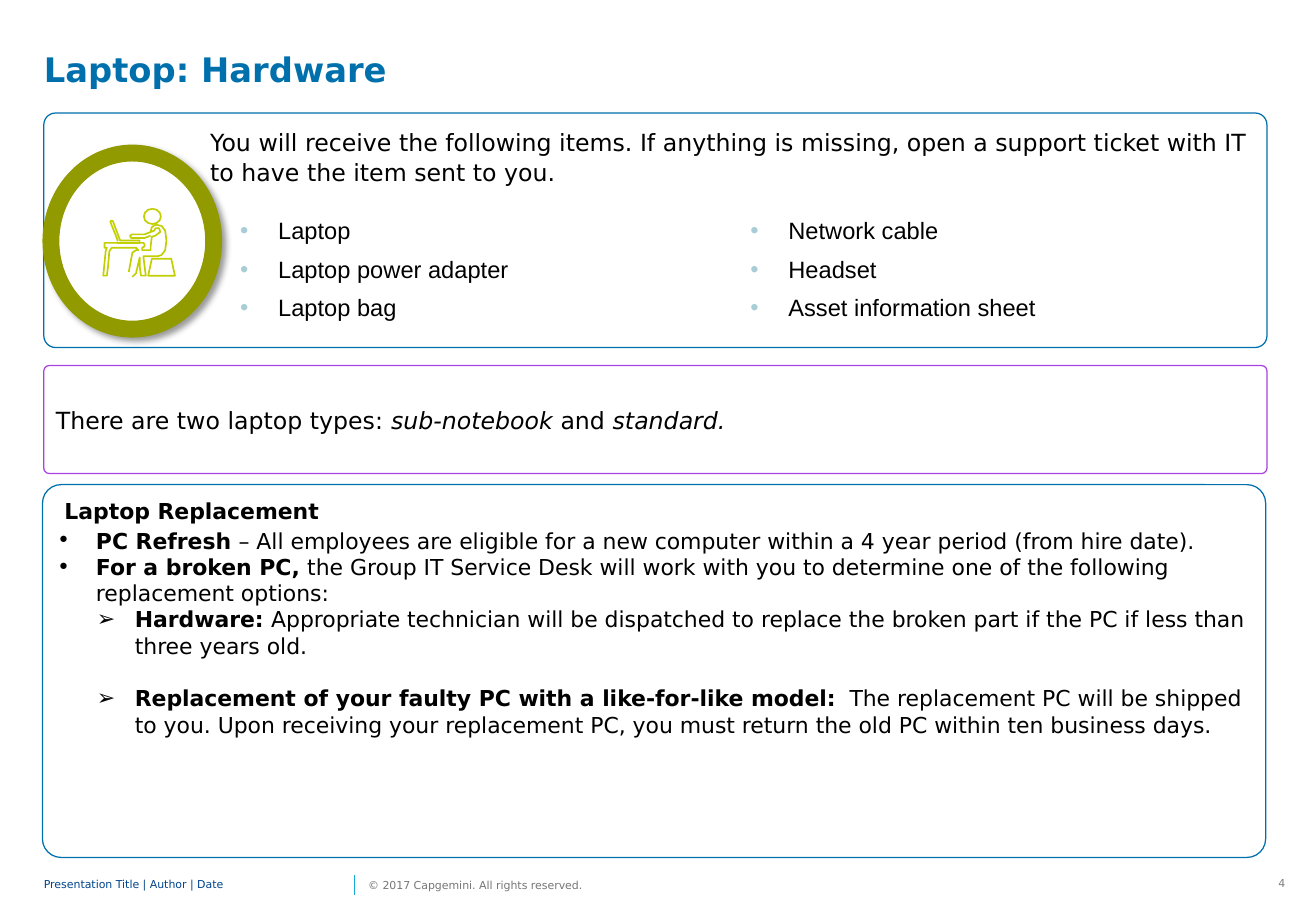
from lxml import etree
from pptx import Presentation
from pptx.dml.color import RGBColor
from pptx.enum import shapes, text
from pptx.oxml import ns
from pptx.util import Pt

BLUE = RGBColor(0x00, 0x70, 0xAD)
NAVY = RGBColor(0x00, 0x45, 0x8D)
CYAN = RGBColor(0x12, 0xAB, 0xDB)
PURPLE = RGBColor(0xA8, 0x42, 0xE0)
OLIVE = RGBColor(0x91, 0x9B, 0x00)
LIME = RGBColor(0xC2, 0xCF, 0x00)
PALE_TEAL = RGBColor(0xA8, 0xCD, 0xD7)
GREY = RGBColor(0x80, 0x80, 0x80)
DARK_GREY = RGBColor(0x76, 0x76, 0x76)
BLACK = RGBColor(0x00, 0x00, 0x00)
WHITE = RGBColor(0xFF, 0xFF, 0xFF)

TOP, MIDDLE = text.MSO_ANCHOR.TOP, text.MSO_ANCHOR.MIDDLE
ROUNDED = shapes.MSO_SHAPE.ROUNDED_RECTANGLE
OVAL = shapes.MSO_SHAPE.OVAL


def child(parent, tag, **attributes):
    element = etree.SubElement(parent, ns.qn(tag))
    for key, value in attributes.items():
        element.set(key, str(value))
    return element


def write(frame, runs, size=14, font="DejaVu Sans", color=BLACK, bold=False,
          align=text.PP_ALIGN.LEFT, line=1.0, before=0, after=0,
          margin=0, hanging=0, bullet=None, bullet_color=BLACK):
    """Add a paragraph; runs is a string or a list of (text, style) pairs."""
    first = frame.paragraphs[0]
    paragraph = frame.add_paragraph() if first.runs else first
    props = paragraph._p.get_or_add_pPr()
    props.set("marL", str(Pt(margin)))
    props.set("indent", str(Pt(-hanging)))
    if bullet:
        child(child(props, "a:buClr"), "a:srgbClr", val=bullet_color)
        child(props, "a:buFont", typeface=font)
        child(props, "a:buChar", char=bullet)
    else:
        child(props, "a:buNone")
    paragraph.alignment = align
    paragraph.line_spacing = line
    paragraph.space_before, paragraph.space_after = Pt(before), Pt(after)
    for words, style in [(runs, "")] if isinstance(runs, str) else runs:
        run = paragraph.add_run()
        run.text = words
        run.font.name, run.font.size = font, Pt(size)
        run.font.color.rgb = color
        run.font.bold = bold or style == "bold"
        run.font.italic = style == "italic"


class SlideBuilder:
    COMPARISON_LAYOUT = 4

    def __init__(self, width, height):
        self.deck = Presentation()
        self.deck.slide_width, self.deck.slide_height = Pt(width), Pt(height)
        layout = self.deck.slide_layouts[self.COMPARISON_LAYOUT]
        self.slide = self.deck.slides.add_slide(layout)

    def frame(self, box, bounds, anchor=TOP, inset=(0, 0), columns=1):
        box.left, box.top, box.width, box.height = map(Pt, bounds)
        frame = box.text_frame
        frame.word_wrap = True
        frame.auto_size = text.MSO_AUTO_SIZE.NONE
        frame.vertical_anchor = anchor
        frame.margin_left = frame.margin_right = Pt(inset[0])
        frame.margin_top = frame.margin_bottom = Pt(inset[1])
        if columns > 1:
            frame._txBody.bodyPr.set("numCol", str(columns))
        return frame

    def placeholder(self, index, bounds, **layout):
        return self.frame(self.slide.placeholders[index], bounds, **layout)

    def label(self, words, bounds, anchor=MIDDLE, **style):
        box = self.slide.shapes.add_textbox(*map(Pt, bounds))
        write(self.frame(box, bounds, anchor), words, **style)

    def outline(self, shape, color, width):
        shape.shadow.inherit = False
        shape.fill.background()
        shape.line.color.rgb, shape.line.width = color, Pt(width)
        return shape

    def shape(self, kind, bounds, color, width=0.75):
        shape = self.slide.shapes.add_shape(kind, *map(Pt, bounds))
        return self.outline(shape, color, width)

    def panel(self, bounds, color):
        self.shape(ROUNDED, bounds, color).adjustments[0] = 0.05

    def badge(self, bounds):
        badge = self.shape(OVAL, bounds, OLIVE, 10)
        badge.fill.solid()
        badge.fill.fore_color.rgb = WHITE
        effects = badge._element.spPr.find(ns.qn("a:effectLst"))
        shadow = child(effects, "a:outerShdw", blurRad=Pt(4), dist=Pt(3),
                       dir=45 * 60000, algn="tl", rotWithShape=0)
        child(child(shadow, "a:srgbClr", val=BLACK), "a:alpha", val=40000)

    def sketch(self, points, close=False):
        """Points are on a grid of 0.72 pt."""
        builder = self.slide.shapes.build_freeform(*points[0], scale=Pt(0.72))
        builder.add_line_segments(points[1:], close=close)
        self.outline(builder.convert_to_shape(), LIME, 1)

    def line(self, start, end, color):
        line = self.slide.shapes.add_connector(
            shapes.MSO_CONNECTOR.STRAIGHT, *map(Pt, start + end))
        line.line.color.rgb, line.line.width = color, Pt(1)
        child(line._element.spPr, "a:effectLst")


def main():
    page = SlideBuilder(780, 540)

    # Title
    title = page.placeholder(0, (26, 31.7, 705, 67.7))
    write(title, "Laptop: Hardware", size=20, color=BLUE, bold=True, line=0.9)

    # Items received
    intro = page.placeholder(1, (124.6, 74.9, 626.4, 40))
    write(intro, "You will receive the following items. If anything is missing, "
          "open a support ticket with IT to have the item sent to you.",
          line=Pt(17.9))
    items = page.placeholder(2, (121.7, 124.6, 619.2, 79), inset=(7.2, 3.6),
                             columns=2)
    for item in ("Laptop", "Laptop power adapter", "Laptop bag",
                 "Network cable", "Headset", "Asset information sheet"):
        write(items, item, font="Arial", line=Pt(16.8), after=6, margin=36,
              hanging=22.5, bullet="•", bullet_color=PALE_TEAL)

    # Laptop types
    types = page.placeholder(3, (33.1, 216.7, 708, 64), anchor=MIDDLE)
    write(types, [("There are two laptop types: ", ""),
                  ("sub-notebook", "italic"), (" and ", ""),
                  ("standard.", "italic")], line=Pt(17.9))

    # Laptop replacement
    page.label("Laptop Replacement", (38.2, 290.2, 300, 23), size=13, bold=True,
               line=Pt(17.9))
    replacement = page.placeholder(4, (0, 308.9, 751, 133.2), inset=(7.2, 3.6))
    main_point = dict(margin=49.7, hanging=23, bullet="•")
    option = dict(margin=72.7, hanging=22.5, bullet="➢")
    line = 15.6
    for lead, detail, style in (
        ("PC Refresh ", "– All employees are eligible for a new computer "
         "within a 4 year period (from hire date).", main_point),
        ("For a broken PC, ", "the Group IT Service Desk will work with you to "
         "determine one of the following replacement options:", main_point),
        ("Hardware: ", "Appropriate technician will be dispatched to replace "
         "the broken part if the PC if less than three years old.", option),
        ("Replacement of your faulty PC with a like-for-like model: ",
         " The replacement PC will be shipped to you. Upon receiving your "
         "replacement PC, you must return the old PC within ten business days.",
         dict(option, before=line)),
    ):
        write(replacement, [(lead, "bold"), (detail, "")], size=13,
              line=Pt(line), **style)

    # Panel outlines
    page.panel((26, 67, 725, 139), BLUE)
    page.panel((26, 216.7, 725, 64), PURPLE)
    page.panel((25.2, 287.3, 725, 221), BLUE)

    # Badge with a person at a desk
    page.badge((30.2, 90.7, 96.5, 104.4))
    desk_and_body = [
        (109, 228), (112, 225), (115, 212), (115, 219), (116, 227), (120, 227),
        (118, 211), (130, 211), (133, 210), (136, 206), (137, 198), (136, 190),
        (133, 186), (128, 185), (125, 187), (124, 191), (127, 190), (128, 188),
        (131, 188), (132, 191), (128, 194), (125, 195), (124, 203), (124, 206),
        (117, 206), (117, 204), (119, 203), (119, 201), (118, 200), (86, 200),
        (86, 204), (88, 204), (87, 207), (85, 227), (88, 227), (89, 219),
        (90, 207), (92, 204), (112, 204), (114, 206), (112, 206), (109, 208),
        (106, 224)]
    laptop = [(96, 200), (115, 200), (115, 198), (99, 198), (93, 182),
              (91, 182), (91, 183), (97, 198), (96, 198)]
    arm = [(124, 191), (119, 193), (109, 193), (107, 194), (108, 196),
           (112, 196), (119, 196), (124, 194)]
    seat = [(122, 227), (144, 227), (141, 213), (125, 213)]
    for part in (desk_and_body, laptop, arm):
        page.sketch(part)
    page.sketch(seat, close=True)
    page.shape(OVAL, (85.3, 123.8, 10.1, 9), LIME, 1)

    # Footer
    page.label("Presentation Title | Author | Date", (26, 516.2, 180.7, 17.3),
               size=6.5, color=NAVY, line=0.85)
    page.line((210.2, 530.6), (210.2, 518.4), CYAN)
    page.label("© 2017 Capgemini. All rights reserved.",
               (218.2, 516.2, 142.6, 17.3), size=6.5, color=DARK_GREY)
    page.label("4", (743, 519.8, 18.8, 8), anchor=TOP, size=6.5, color=GREY,
               align=text.PP_ALIGN.RIGHT)

    page.deck.save("out.pptx")


if __name__ == "__main__":
    main()
